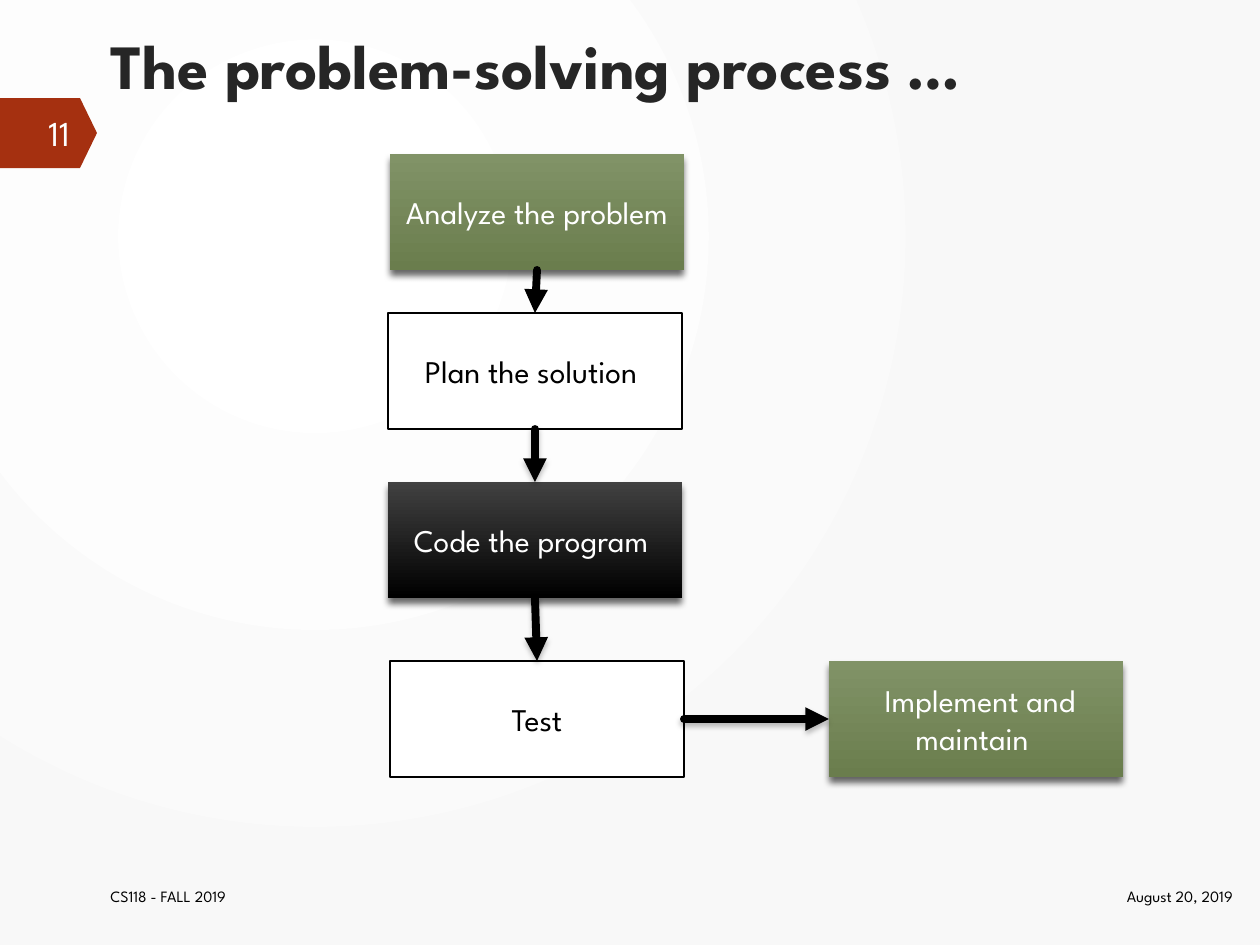
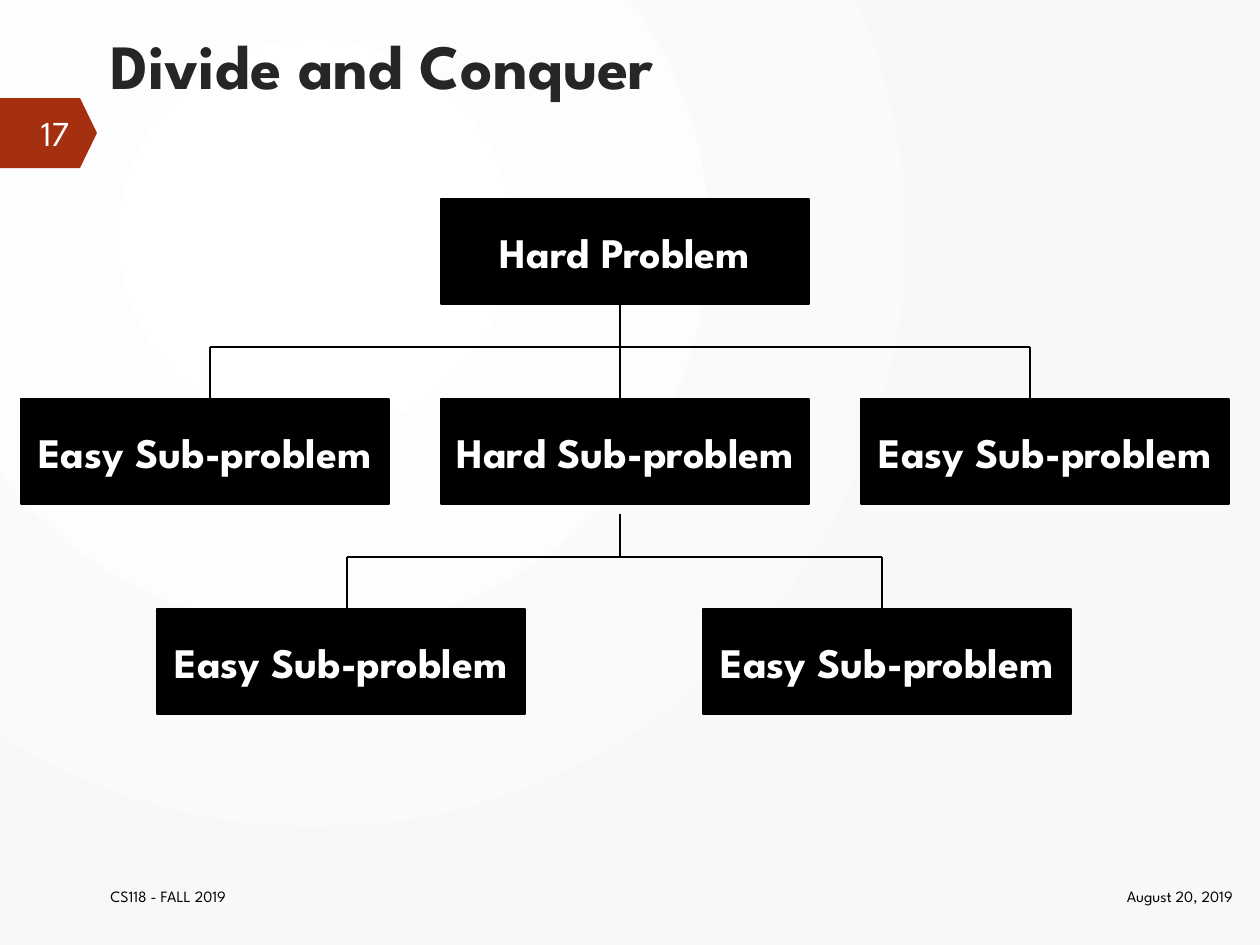
import pptx
import pptx.dml.color
import pptx.enum.shapes
import pptx.enum.text
import pptx.oxml
import pptx.oxml.ns
import pptx.util

ALIGN = pptx.enum.text.PP_ALIGN
ANCHOR = pptx.enum.text.MSO_ANCHOR
NAMESPACE = pptx.oxml.ns.nsdecls("a")

# Connection sites of a rectangle
TOP, LEFT, BOTTOM, RIGHT = range(4)

# Box styles of the flow chart: fill (two colours for a gradient), text colour
GREEN = (("819367", "6A7D4D"), "FFFFFF")
BLACK = (("414141", "000000"), "FFFFFF")
WHITE = (("FFFFFF",), "000000")


def px(length):
    """Pixels to EMU at 126 pixels to the inch."""
    return round(length * 914400 / 126)


def color(value):
    return pptx.dml.color.RGBColor.from_string(value)


class Deck:
    font = "League Spartan"
    ink = "000000"
    title_ink = "262626"
    accent = "A53010"
    backdrop = ("FFFFFF", "F8F8F8")
    footer = "CS118 - FALL 2019"
    date = "August 20, 2019"

    def __init__(self):
        self.presentation = pptx.Presentation()
        self.presentation.slide_width = px(1260)
        self.presentation.slide_height = px(945)
        self.slide = None

    def add_slide(self, title, number):
        """Start a slide with its background, band, title and footers."""
        self.slide = self.presentation.slides.add_slide(
            self.presentation.slide_layouts[6])
        self.background()
        self.band()
        self.label(title, (98, 20, 1147, 112), 36, self.title_ink,
                   bold=True, anchor=ANCHOR.TOP)
        self.label(self.date, (1060, 871, 185, 50), 9, self.ink, ALIGN.RIGHT)
        self.label(self.footer, (98, 871, 858, 50), 9, self.ink)
        self.label(number, (1, 108, 81, 50), 20, "FEFFFF", ALIGN.RIGHT)

    def gradient(self, fill, colors):
        fill.gradient()
        for stop, value in zip(fill.gradient_stops, colors):
            stop.color.rgb = color(value)

    def background(self):
        """Circular gradient centred in the upper left quarter."""
        self.gradient(self.slide.background.fill, self.backdrop)
        gradient = self.slide.element.find(".//" + pptx.oxml.ns.qn("a:gradFill"))
        linear = gradient.find(pptx.oxml.ns.qn("a:lin"))
        gradient.replace(linear, pptx.oxml.parse_xml(
            f'<a:path {NAMESPACE} path="circle"><a:fillToRect l="50000" '
            't="50000" r="100000" b="100000"/></a:path>'))

    def band(self):
        """Pointed band behind the slide number."""
        builder = self.slide.shapes.build_freeform(px(0), px(98))
        corners = [(80, 98), (97, 133), (80, 168), (0, 168)]
        builder.add_line_segments([(px(x), px(y)) for x, y in corners])
        shape = builder.convert_to_shape()
        shape.shadow.inherit = False
        shape.fill.solid()
        shape.fill.fore_color.rgb = color(self.accent)
        shape.line.fill.background()

    def set_text(self, shape, text, size, ink, align, bold, anchor, wrap=True):
        frame = shape.text_frame
        frame.word_wrap = wrap
        frame.vertical_anchor = anchor
        paragraph = frame.paragraphs[0]
        paragraph.alignment = align
        run = paragraph.add_run()
        run.text = text
        run.font.name = self.font
        run.font.size = pptx.util.Pt(size)
        run.font.bold = bold
        run.font.color.rgb = color(ink)

    def label(self, text, place, size, ink, align=ALIGN.LEFT, bold=False,
              anchor=ANCHOR.MIDDLE):
        shape = self.slide.shapes.add_textbox(*map(px, place))
        self.set_text(shape, text, size, ink, align, bold, anchor)

    def box(self, text, place, fills, ink, size, line=None, bold=False, wrap=True):
        """Rectangle with centred text; two fill colours make a gradient."""
        shape = self.slide.shapes.add_shape(
            pptx.enum.shapes.MSO_SHAPE.RECTANGLE, *map(px, place))
        shape.shadow.inherit = False
        if len(fills) == 2:
            self.gradient(shape.fill, fills)
            shape.fill.gradient_angle = 270
        else:
            shape.fill.solid()
            shape.fill.fore_color.rgb = color(fills[0])
        if line:
            shape.line.color.rgb = color(self.ink)
            shape.line.width = pptx.util.Pt(line)
        else:
            shape.line.fill.background()
        self.set_text(shape, text, size, ink, ALIGN.CENTER, bold,
                      ANCHOR.MIDDLE, wrap)
        return shape

    def step(self, text, left, top, style):
        """Flow chart box: gradient boxes cast a shadow, plain ones are outlined."""
        fills, ink = style
        plain = len(fills) == 1
        shape = self.box(text, (left, top, 294, 116), fills, ink, 18,
                         line=1.25 if plain else None)
        if not plain:
            self.shadow(shape, 60, 4, 3)
        return shape

    def problem(self, text, left, top):
        """Box of the problem tree."""
        self.box(text, (left, top, 368, 105), (self.ink,), "FFFFFF", 24,
                 line=0.75, bold=True, wrap=False)

    def shadow(self, shape, opacity, blur, distance):
        effects = shape.element.spPr.find(pptx.oxml.ns.qn("a:effectLst"))
        effects.append(pptx.oxml.parse_xml(
            f'<a:outerShdw {NAMESPACE} blurRad="{pptx.util.Pt(blur)}" '
            f'dist="{pptx.util.Pt(distance)}" dir="5400000" rotWithShape="0">'
            f'<a:srgbClr val="{self.ink}"><a:alpha val="{opacity * 1000}"/>'
            '</a:srgbClr></a:outerShdw>'))

    def line(self, start, end, width=0.75):
        connector = self.slide.shapes.add_connector(
            pptx.enum.shapes.MSO_CONNECTOR.STRAIGHT, *map(px, start + end))
        connector.line.color.rgb = color(self.ink)
        connector.line.width = pptx.util.Pt(width)
        connector.element.spPr.append(
            pptx.oxml.parse_xml(f"<a:effectLst {NAMESPACE}/>"))
        return connector

    def arrow(self, source, source_site, target, target_site, shadow=True):
        """Thick arrow glued to two boxes."""
        connector = self.line((0, 0), (0, 0), 4.5)
        connector.begin_connect(source, source_site)
        connector.end_connect(target, target_site)
        outline = connector.get_or_add_ln()
        outline.set("cap", "rnd")
        outline.append(pptx.oxml.parse_xml(
            f'<a:tailEnd {NAMESPACE} type="triangle"/>'))
        if shadow:
            self.shadow(connector, 25, 3, 2)

    def branch(self, trunk, top, trunk_end, rail, bottom, drops):
        """Trunk with a horizontal rail and a drop to each child."""
        self.line((trunk, top), (trunk, trunk_end))
        for drop in drops:
            self.line((trunk, rail), (drop, rail))
            self.line((drop, rail), (drop, bottom))


deck = Deck()

# Flow chart
deck.add_slide("The problem-solving process …", "11")
steps = [deck.step(*step) for step in (
    ("Analyze the problem ", 390, 154, GREEN),
    ("Plan the solution ", 388, 313, WHITE),
    ("Code the program ", 388, 482, BLACK),
    ("Test", 390, 661, WHITE),
)]
maintain = deck.step(" Implement and maintain ", 829, 661, GREEN)
for index, (source, target) in enumerate(zip(steps, steps[1:])):
    deck.arrow(source, BOTTOM, target, TOP, shadow=index > 0)
deck.arrow(steps[-1], RIGHT, maintain, LEFT)

# Problem tree
deck.add_slide("Divide and Conquer", "17")
deck.branch(620, 305, 399, 347, 399, (210, 1030))
deck.branch(620, 514, 557, 557, 609, (347, 882))
deck.problem("Hard Problem", 441, 199)
for column, kind in enumerate(("Easy", "Hard", "Easy")):
    deck.problem(f"{kind} Sub-problem", 21 + 420 * column, 399)
for left in (157, 703):
    deck.problem("Easy Sub-problem", left, 609)

deck.presentation.save("out.pptx")
